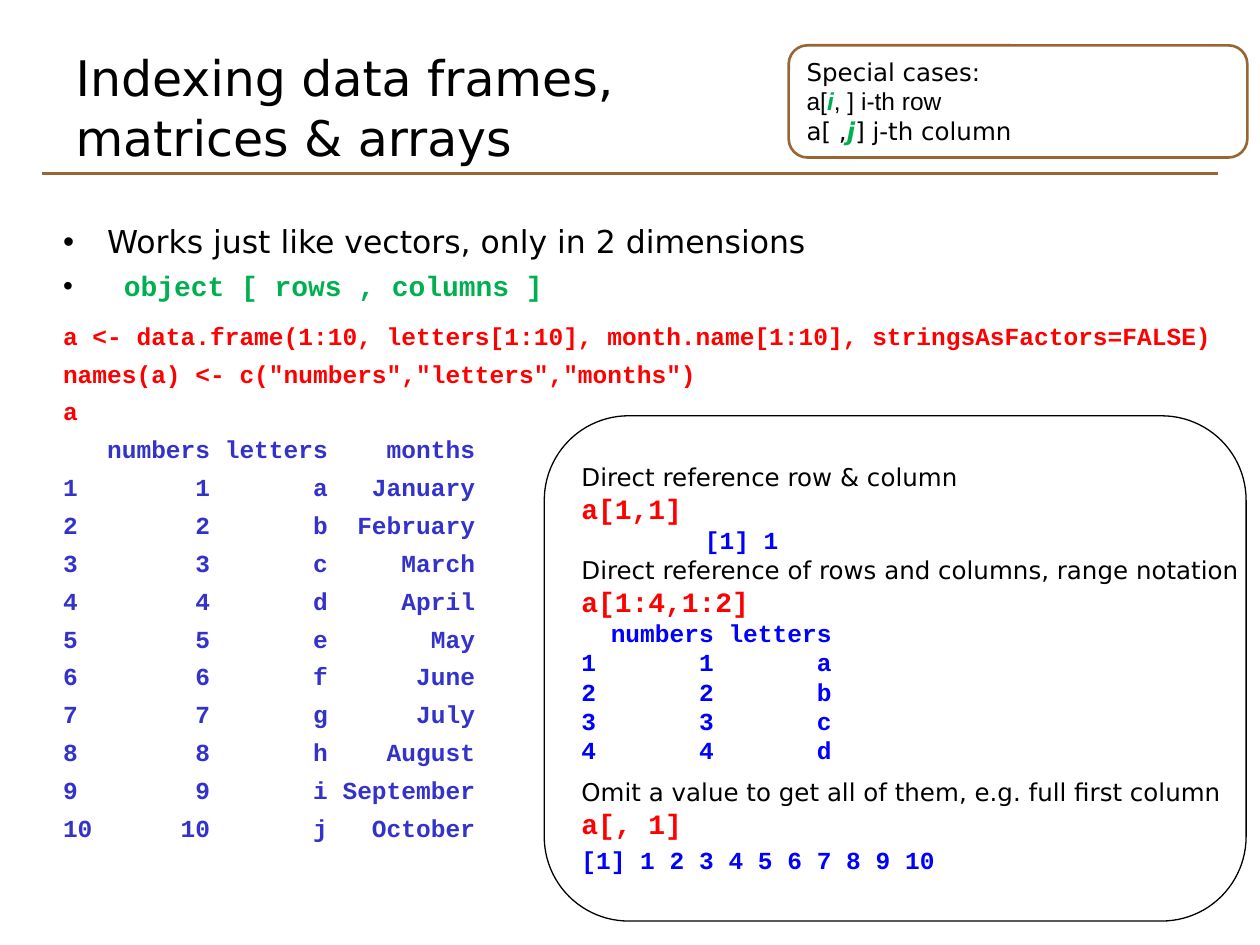
from lxml import etree
from pptx import Presentation
from pptx.dml.color import RGBColor
from pptx.enum.shapes import MSO_CONNECTOR, MSO_SHAPE
from pptx.enum.text import MSO_ANCHOR, MSO_AUTO_SIZE, PP_ALIGN
from pptx.oxml.ns import qn
from pptx.util import Inches, Pt

STRAIGHT = MSO_CONNECTOR.STRAIGHT
ROUNDED = MSO_SHAPE.ROUNDED_RECTANGLE
TOP, MIDDLE = MSO_ANCHOR.TOP, MSO_ANCHOR.MIDDLE
LEFT = PP_ALIGN.LEFT
NO_FIT = MSO_AUTO_SIZE.NONE

SANS, ARIAL, MONO = "DejaVu Sans", "Arial", "Courier New"
COLORS = {
    "black": "000000",
    "white": "FFFFFF",
    "brown": "996633",
    "green": "00B050",
    "code": "FF0000",
    "frame": "3333CC",
    "result": "0000FF",
}
MONTHS = ["January", "February", "March", "April", "May", "June",
          "July", "August", "September", "October"]
LETTERS = "abcdefghij"


def color(name):
    return RGBColor.from_string(COLORS[name])


def add_span(para, text, size, font=SANS, ink="black", bold=False, italic=False):
    span = para.add_run()
    span.text = text
    span.font.size = Pt(size)
    span.font.name = font
    span.font.bold = bold
    span.font.italic = italic
    span.font.color.rgb = color(ink)


def add_code(para, text, size=14, ink="code"):
    add_span(para, text, size, MONO, ink, bold=True)


def next_para(frame, before=0, spacing=None):
    """Return the empty first paragraph, or a new one with space before it."""
    para = frame.paragraphs[0]
    if para.runs:
        para = frame.add_paragraph()
        para.space_before = Pt(before)
    para.alignment = LEFT
    if spacing:
        para.line_spacing = spacing
    return para


def set_indent(para, left, first=0):
    properties = para._p.get_or_add_pPr()
    properties.set("marL", str(Inches(left)))
    properties.set("indent", str(Inches(first)))


def add_bullet(para):
    properties = para._p.get_or_add_pPr()
    ink = etree.SubElement(properties, qn("a:buClr"))
    etree.SubElement(ink, qn("a:srgbClr")).set("val", COLORS["black"])
    etree.SubElement(properties, qn("a:buFont")).set("typeface", ARIAL)
    etree.SubElement(properties, qn("a:buChar")).set("char", "•")


def add_panel(page, left, top, width, height, line, weight, fill=None):
    panel = page.shapes.add_shape(
        ROUNDED, Inches(left), Inches(top), Inches(width), Inches(height))
    panel.shadow.inherit = False
    panel.adjustments[0] = 0.167
    if fill:
        panel.fill.solid()
        panel.fill.fore_color.rgb = color(fill)
    else:
        panel.fill.background()
    panel.line.color.rgb = color(line)
    panel.line.width = Pt(weight)
    return panel.text_frame


def add_rule(page):
    rule = page.shapes.add_connector(
        STRAIGHT, Inches(0.33), Inches(1.38), Inches(9.67), Inches(1.38))
    rule.line.color.rgb = color("brown")
    rule.line.width = Pt(1.75)
    etree.SubElement(rule._element.spPr, qn("a:effectLst"))


def fill_title(page):
    title = page.shapes.title
    title.left, title.top = Inches(0.5), Inches(0.22)
    title.width, title.height = Inches(9), Inches(1.25)
    frame = title.text_frame
    frame.auto_size = NO_FIT
    frame.vertical_anchor = MIDDLE
    para = next_para(frame, spacing=1.02)
    add_span(para, "Indexing data frames,", 28)
    para.add_line_break()
    add_span(para, "matrices & arrays", 28)


def add_special_cases(page):
    frame = add_panel(page, 6.26, 0.36, 3.64, 0.89, "brown", 1.5, "white")
    frame.word_wrap = True
    frame.vertical_anchor = TOP
    add_span(next_para(frame), "Special cases:", 14)
    for font, start, index, end in [
        (ARIAL, "a[", "i", ", ] i-th row"),
        (SANS, "a[ ,", "j", "] j-th column"),
    ]:
        para = next_para(frame)
        add_span(para, start, 14, font)
        add_span(para, index, 14, font, "green", bold=True, italic=True)
        add_span(para, end, 14, font)


def add_body(page):
    box = page.shapes.add_textbox(
        Inches(0.5), Inches(1.76), Inches(9.32), Inches(4.95))
    frame = box.text_frame
    frame.word_wrap = True
    frame.margin_left = frame.margin_right = 0
    frame.margin_top = frame.margin_bottom = 0

    def body_para(before=4.5):
        para = next_para(frame, before, 1.02)
        set_indent(para, 0.35, -0.35)
        return para

    # Bulleted introduction
    para = body_para()
    add_bullet(para)
    add_span(para, "Works just like vectors, only in 2 dimensions", 18)
    para = body_para()
    add_bullet(para)
    add_code(para, " object [ rows , columns ]", 16, "green")

    # Commands
    add_code(body_para(10.2), "a <- data.frame(1:10, letters[1:10], "
             "month.name[1:10], stringsAsFactors=FALSE)")
    add_code(body_para(), 'names(a) <- c("numbers","letters","months")')
    add_code(body_para(), "a")

    # Printed data frame
    rows = [("", "numbers", "letters", "months")]
    rows += [(n, n, letter, month)
             for n, (letter, month) in enumerate(zip(LETTERS, MONTHS), 1)]
    for label, number, letter, month in rows:
        line = f"{label:<2}{number:>8}{letter:>8}{month:>10}"
        add_code(body_para(), line, ink="frame")


def add_examples(page):
    frame = add_panel(page, 4.32, 3.3, 5.57, 4.01, "black", 0)
    frame.word_wrap = False
    frame.vertical_anchor = MIDDLE

    def example(heading, code, before=0):
        add_span(next_para(frame, before), heading, 14)
        add_code(next_para(frame), code, 16)

    def result(text, before=0):
        para = next_para(frame, before)
        add_code(para, text, ink="result")
        return para

    example("Direct reference row & column", "a[1,1]")
    set_indent(result("[1] 1"), 0.98)

    example("Direct reference of rows and columns, range notation", "a[1:4,1:2]")
    rows = [("", "numbers", "letters")]
    rows += [(n, n, letter) for n, letter in enumerate(LETTERS[:4], 1)]
    for label, number, letter in rows:
        result(f"{label:<1}{number:>8}{letter:>8}")

    example("Omit a value to get all of them, e.g. full first column",
            "a[, 1]", before=7)
    result("[1] 1 2 3 4 5 6 7 8 9 10", 2.8)


def main():
    deck = Presentation()
    deck.slide_width, deck.slide_height = Inches(10), Inches(7.5)
    page = deck.slides.add_slide(deck.slide_layouts[5])
    add_rule(page)
    add_special_cases(page)
    fill_title(page)
    add_body(page)
    add_examples(page)
    deck.save("out.pptx")


if __name__ == "__main__":
    main()
